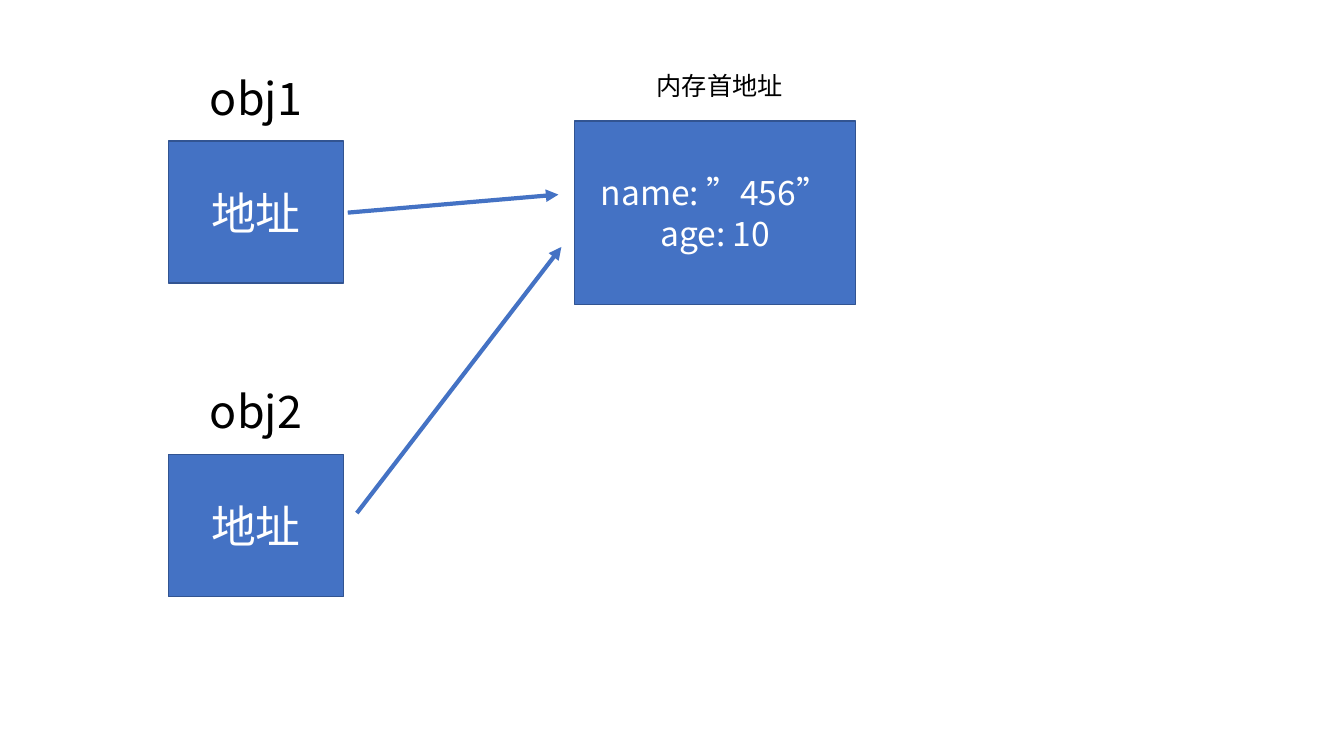
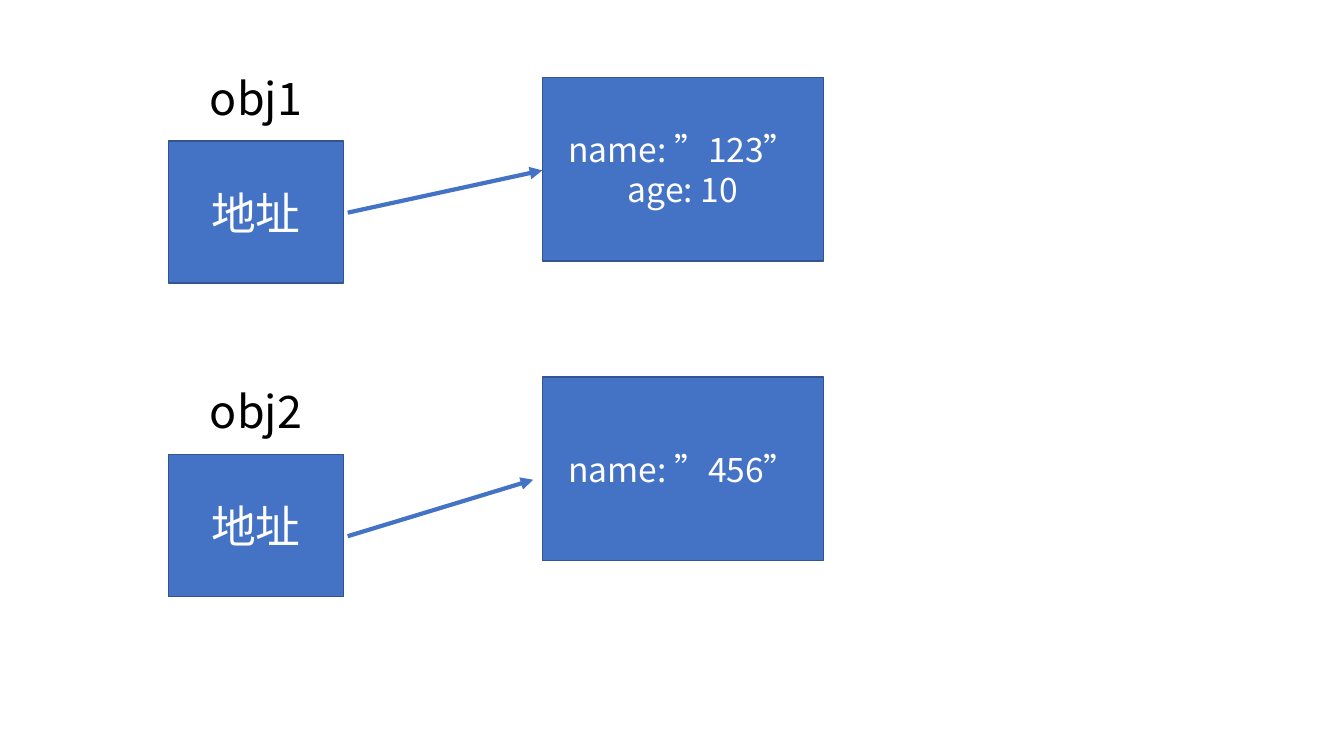
from dataclasses import dataclass

from lxml import etree
from pptx import Presentation
from pptx.dml.color import RGBColor
from pptx.enum.lang import MSO_LANGUAGE_ID
from pptx.enum.shapes import MSO_CONNECTOR, MSO_SHAPE
from pptx.enum.text import MSO_ANCHOR, MSO_AUTO_SIZE, PP_ALIGN
from pptx.oxml.ns import qn
from pptx.slide import Slide
from pptx.text.text import TextFrame
from pptx.util import Pt

RECTANGLE = MSO_SHAPE.RECTANGLE
STRAIGHT = MSO_CONNECTOR.STRAIGHT
CENTER = PP_ALIGN.CENTER
MIDDLE = MSO_ANCHOR.MIDDLE
GROW = MSO_AUTO_SIZE.SHAPE_TO_FIT_TEXT
CHINESE = MSO_LANGUAGE_ID.SIMPLIFIED_CHINESE


@dataclass(frozen=True)
class Theme:
    font: str = "Noto Sans CJK SC"
    fill: RGBColor = RGBColor(0x44, 0x72, 0xC4)
    outline: RGBColor = RGBColor(0x32, 0x54, 0x91)
    light: RGBColor = RGBColor(0xFF, 0xFF, 0xFF)
    dark: RGBColor = RGBColor(0, 0, 0)
    large: float = 32
    medium: float = 24
    small: float = 18
    outline_width: float = 1
    arrow_width: float = 3


THEME = Theme()


@dataclass(frozen=True)
class Area:
    left: float
    top: float
    width: float
    height: float

    def lengths(self) -> tuple[Pt, Pt, Pt, Pt]:
        return Pt(self.left), Pt(self.top), Pt(self.width), Pt(self.height)


@dataclass(frozen=True)
class Box:
    area: Area
    lines: tuple[str, ...]
    size: float


@dataclass(frozen=True)
class Label:
    area: Area
    text: str
    size: float


@dataclass(frozen=True)
class Arrow:
    start: tuple[float, float]
    end: tuple[float, float]


@dataclass(frozen=True)
class Diagram:
    memory: tuple[Box, ...]
    arrows: tuple[Arrow, ...]
    labels: tuple[Label, ...] = ()


# Variables: a name with its address box below, on an even row pitch
COLUMN_LEFT, COLUMN_WIDTH = 120.2, 125.3
FIRST_ROW, ROW_PITCH, BOX_OFFSET = 46.8, 223.9, 54


def write_lines(frame: TextFrame, lines: tuple[str, ...], size: float, color: RGBColor) -> None:
    frame.word_wrap = True
    for index, line in enumerate(lines):
        paragraph = frame.add_paragraph() if index else frame.paragraphs[0]
        paragraph.alignment = CENTER
        run = paragraph.add_run()
        run.text = line
        font = run.font
        font.name, font.size = THEME.font, Pt(size)
        font.language_id = CHINESE
        font.color.rgb = color
        # East Asian typeface, also used for the full-width quotes
        properties = run._r.get_or_add_rPr()
        etree.SubElement(properties, qn("a:ea"), typeface=THEME.font)


def draw_box(slide: Slide, box: Box) -> None:
    shape = slide.shapes.add_shape(RECTANGLE, *box.area.lengths())
    shape.shadow.inherit = False
    shape.fill.solid()
    shape.fill.fore_color.rgb = THEME.fill
    shape.line.color.rgb = THEME.outline
    shape.line.width = Pt(THEME.outline_width)
    shape.text_frame.vertical_anchor = MIDDLE
    write_lines(shape.text_frame, box.lines, box.size, THEME.light)


def draw_label(slide: Slide, label: Label) -> None:
    frame = slide.shapes.add_textbox(*label.area.lengths()).text_frame
    write_lines(frame, (label.text,), label.size, THEME.dark)
    frame.auto_size = GROW


def draw_arrow(slide: Slide, arrow: Arrow) -> None:
    points = (Pt(value) for value in arrow.start + arrow.end)
    connector = slide.shapes.add_connector(STRAIGHT, *points)
    connector.line.color.rgb = THEME.fill
    connector.line.width = Pt(THEME.arrow_width)
    etree.SubElement(connector.line._get_or_add_ln(), qn("a:tailEnd"), type="triangle")
    etree.SubElement(connector._element.spPr, qn("a:effectLst"))


def draw_variables(slide: Slide) -> None:
    for row, name in enumerate(("obj1", "obj2")):
        top = FIRST_ROW + row * ROW_PITCH
        draw_box(slide, Box(Area(COLUMN_LEFT, top + BOX_OFFSET, COLUMN_WIDTH, 101.5),
                            ("地址",), THEME.large))
        draw_label(slide, Label(Area(COLUMN_LEFT, top, COLUMN_WIDTH, 46), name, THEME.large))


def memory_box(left: float, top: float, *lines: str) -> Box:
    return Box(Area(left, top, 200.9, 131), lines, THEME.medium)


DIAGRAMS = (
    # Both variables refer to one object
    Diagram(
        memory=(memory_box(410.4, 86.4, "name: ”456”", "age: 10"),),
        arrows=(Arrow((248.4, 151.9), (398.9, 139)), Arrow((254.9, 366.5), (401, 176.4))),
        labels=(Label(Area(432.7, FIRST_ROW, 162.7, 29.5), "内存首地址", THEME.small),),
    ),
    # Each variable refers to its own object
    Diagram(
        memory=(memory_box(387.4, 55.4, "name: ”123”", "age: 10"),
                memory_box(387.4, 269.3, "name: ”456”")),
        arrows=(Arrow((248.4, 151.9), (387.4, 121.7)), Arrow((248.4, 383), (380.9, 342.7))),
    ),
)


def build() -> None:
    presentation = Presentation()
    presentation.slide_width, presentation.slide_height = Pt(960), Pt(540)
    blank = presentation.slide_layouts[6]
    for diagram in DIAGRAMS:
        slide = presentation.slides.add_slide(blank)
        draw_variables(slide)
        for box in diagram.memory:
            draw_box(slide, box)
        for label in diagram.labels:
            draw_label(slide, label)
        for arrow in diagram.arrows:
            draw_arrow(slide, arrow)
    presentation.save("out.pptx")


build()
